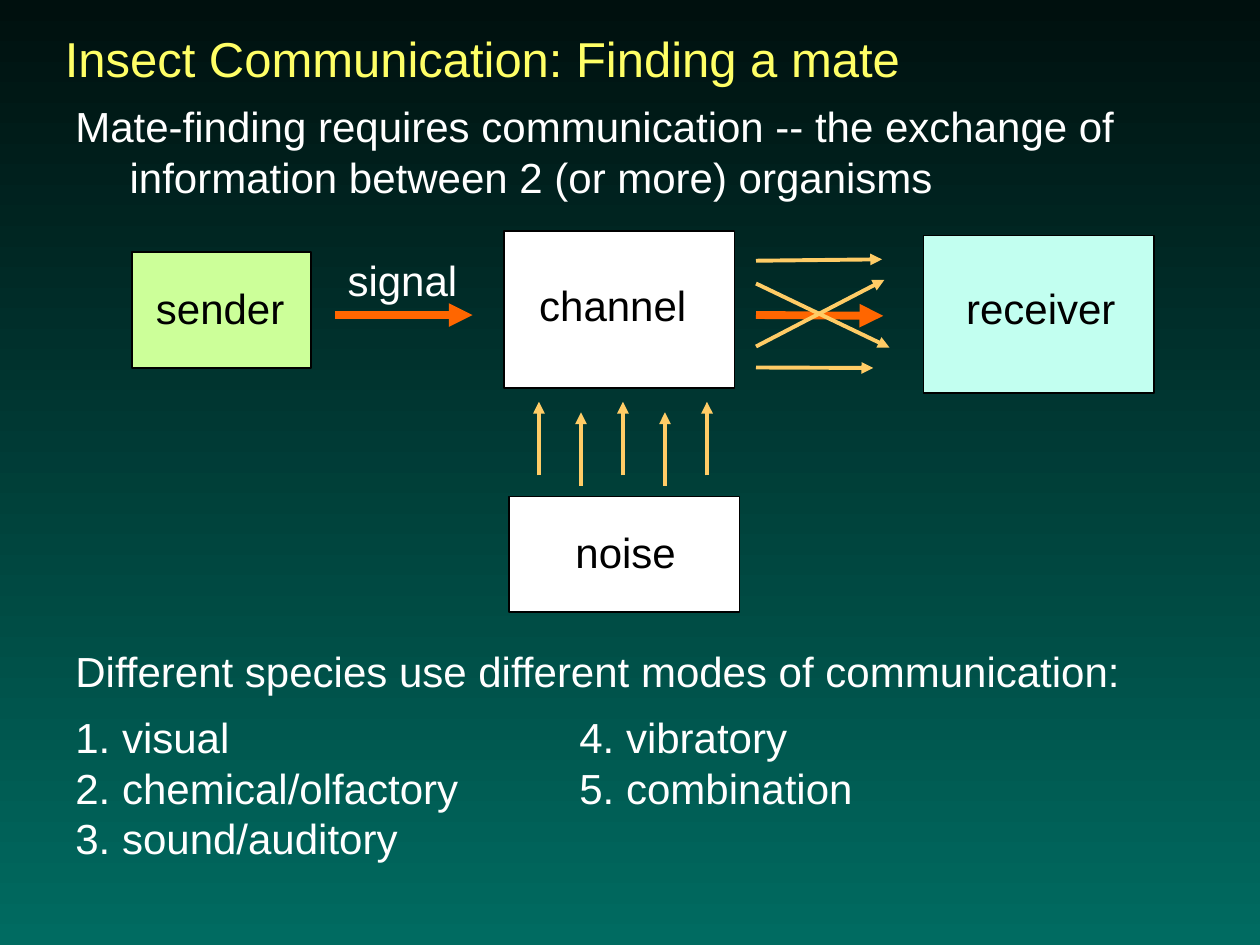
from dataclasses import dataclass

from lxml.etree import SubElement
from pptx import Presentation
from pptx.dml.color import RGBColor
from pptx.enum.shapes import MSO_CONNECTOR as Conn, MSO_SHAPE as Shape
from pptx.oxml.ns import qn
from pptx.util import Pt

COLORS = {
    "top": "00100E", "bottom": "006B61", "title": "FFFF66",
    "white": "FFFFFF", "black": "000000", "green": "CCFF99",
    "aqua": "C2FFF0", "signal": "FF6600", "noise": "FFCC66",
}


@dataclass
class Box:
    x: float
    y: float
    w: float
    h: float
    fill: str


@dataclass
class Label:
    x: float
    y: float
    w: float
    h: float
    lines: list[str]
    color: str = "black"
    size: float = 24
    wrap: bool = False


@dataclass
class Arrow:
    x1: float
    y1: float
    x2: float
    y2: float
    color: str = "noise"
    width: float = 2.25


def rgb(name: str) -> RGBColor:
    return RGBColor.from_string(COLORS[name])


def draw_box(s, b: Box) -> None:
    sp = s.shapes.add_shape(Shape.RECTANGLE, Pt(b.x), Pt(b.y), Pt(b.w), Pt(b.h))
    sp.shadow.inherit = False
    sp.fill.solid()
    sp.fill.fore_color.rgb = rgb(b.fill)
    sp.line.color.rgb = rgb("black")
    sp.line.width = Pt(1)


def draw_label(s, t: Label) -> list:
    """Add the text, one paragraph a line, and return the paragraphs."""
    tf = s.shapes.add_textbox(Pt(t.x), Pt(t.y), Pt(t.w), Pt(t.h)).text_frame
    tf.word_wrap = t.wrap
    tf.text = "\n".join(t.lines)
    return list(tf.paragraphs)


def style(paragraphs: list, t: Label) -> None:
    for p in paragraphs:
        p.font.name = "Arial"
        p.font.size = Pt(t.size)
        p.font.color.rgb = rgb(t.color)


def draw_arrow(s, a: Arrow) -> None:
    c = s.shapes.add_connector(Conn.STRAIGHT, Pt(a.x1), Pt(a.y1), Pt(a.x2), Pt(a.y2))
    c.line.color.rgb = rgb(a.color)
    c.line.width = Pt(a.width)
    SubElement(c.line._get_or_add_ln(), qn("a:tailEnd"), type="triangle")
    SubElement(c._element.spPr, qn("a:effectLst"))


BOXES = [
    Box(527.8, 134.6, 131.8, 90, "aqua"),     # receiver
    Box(75.6, 144, 102.2, 66.2, "green"),     # sender
    Box(288, 131.8, 131.8, 90, "white"),      # channel
    Box(290.9, 283.7, 131.8, 66.2, "white"),  # noise
]

LABELS = [
    Label(30, 13, 497.5, 41, ["Insect Communication: Finding a mate"], "title", 28),
    Label(545, 157.7, 100.8, 36, ["receiver"]),
    Label(82, 157.7, 87.8, 36, ["sender"]),
    Label(191.5, 141.8, 85, 36, ["signal"], "white"),
    Label(301, 156.2, 113.8, 36, ["channel"]),
    Label(321.8, 297.4, 72, 36, ["noise"]),
]

INTRO = Label(18, 54, 635.8, 366, [
    "Mate-finding requires communication -- the exchange of "
    "information between 2 (or more) organisms"], "white", wrap=True)

MODES = Label(36, 368.6, 617.8, 129.6, [
    "Different species use different modes of communication:",
    "1. visual\t4. vibratory",
    "2. chemical/olfactory\t5. combination",
    "3. sound/auditory"], "white", wrap=True)

ARROWS = [
    # Signal into and out of the channel
    Arrow(191.5, 180, 270, 180, "signal", 4.5),
    Arrow(432, 180, 504.7, 180.5, "signal", 4.5),
    # Scattered noise on its way to the receiver
    Arrow(432, 149, 504, 148.2),
    Arrow(432, 162, 508.3, 198.6),
    Arrow(432, 198, 505.4, 159.9),
    Arrow(432, 210, 499, 210.3),
]
# Noise rising into the channel, every second arrow a little lower
for i in range(5):
    x, drop = 308 + 24 * i, 6 * (i % 2)
    ARROWS.append(Arrow(x, 271.6 + drop, x, 229.6 + drop))


def main() -> None:
    prs = Presentation()
    prs.slide_width, prs.slide_height = Pt(720), Pt(540)
    s = prs.slides.add_slide(prs.slide_layouts[6])

    # Background, dark at the top
    bg = s.background.fill
    bg.gradient()
    bg.gradient_angle = 270
    for stop, pos, name in zip(bg.gradient_stops, (0, 1), ("top", "bottom")):
        stop.position = pos
        stop.color.rgb = rgb(name)

    # Diagram
    for b in BOXES:
        draw_box(s, b)
    for a in ARROWS:
        draw_arrow(s, a)
    for t in LABELS:
        style(draw_label(s, t), t)

    # Introduction with a hanging indent
    intro = draw_label(s, INTRO)
    pPr = intro[0]._p.get_or_add_pPr()
    pPr.set("marL", str(Pt(49)))
    pPr.set("indent", str(Pt(-31)))
    style(intro, INTRO)

    # Modes in two columns set by a tab stop
    heading, *modes = draw_label(s, MODES)
    heading.line_spacing = 0.9
    modes[0].space_before = Pt(8.7)
    for p in modes[:2]:
        tabs = SubElement(p._p.get_or_add_pPr(), qn("a:tabLst"))
        SubElement(tabs, qn("a:tab"), pos=str(Pt(288)), algn="l")
    style([heading, *modes], MODES)

    prs.save("out.pptx")


if __name__ == "__main__":
    main()
